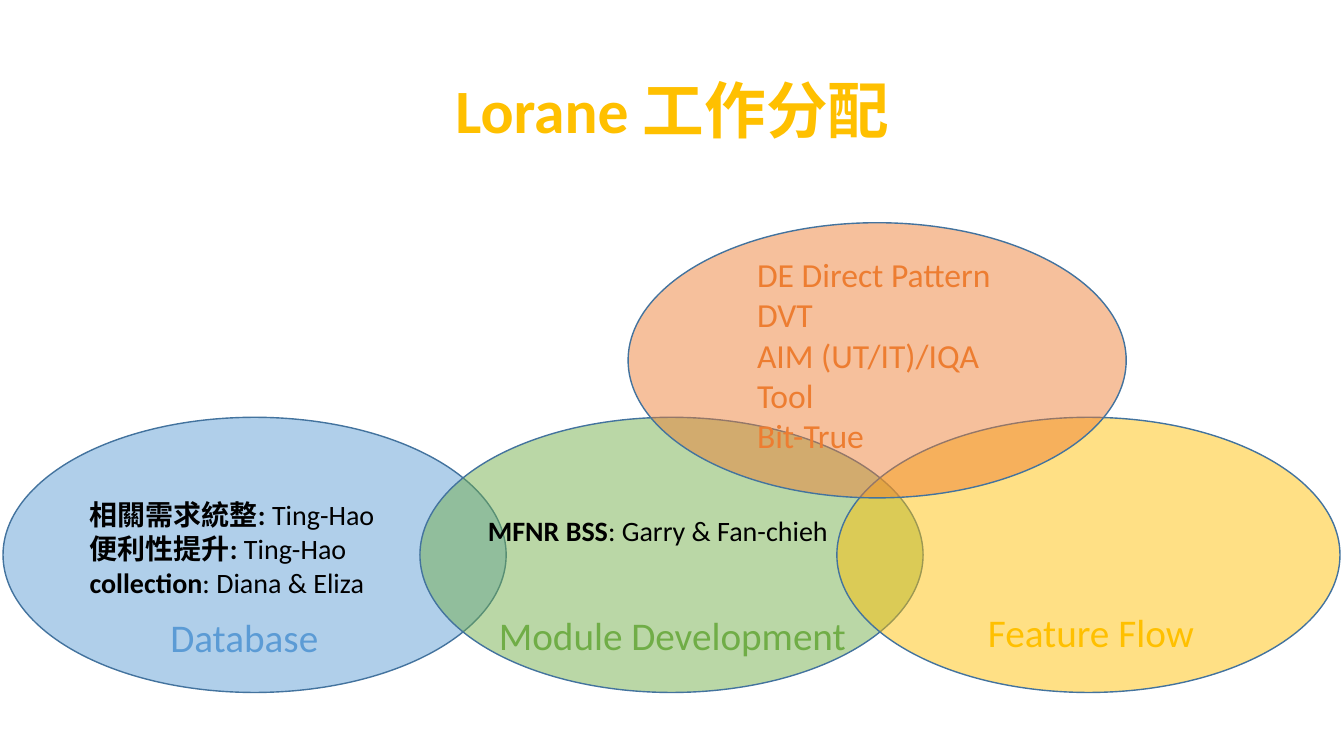
import pptx
import pptx.util
import pptx.dml.color
import pptx.enum.shapes
import pptx.enum.text
import pptx.oxml.ns
import lxml.etree

Inches = pptx.util.Inches
COLORS = {"blue": "5B9BD5", "green": "70AD47", "gold": "FFC000",
          "orange": "ED7D31", "outline": "43739E", "black": "000000"}


def rgb(name):
    return pptx.dml.color.RGBColor.from_string(COLORS[name])


def add_text(left, top, width, height, lines, size, color):
    """Each line is a list of (text, bold) pairs."""
    box = page.shapes.add_textbox(Inches(left), Inches(top), Inches(width), Inches(height))
    box.text_frame.word_wrap = True
    for index, line in enumerate(lines):
        para = box.text_frame.paragraphs[0] if index == 0 else box.text_frame.add_paragraph()
        for text, bold in line:
            span = para.add_run()
            span.text = text
            span.font.color.rgb = rgb(color)
            formats = {"name": "Calibri", "size": pptx.util.Pt(size), "bold": bold}
            for key, value in formats.items():
                setattr(span.font, key, value)
    return box


deck = pptx.Presentation()
deck.slide_width, deck.slide_height = Inches(13.33), Inches(7.5)
page = deck.slides.add_slide(deck.slide_layouts[6])

# Title
title = add_text(0.92, 0.4, 11.5, 1.45, [[("Lorane 工作分配", True)]], 44, "gold")
title.text_frame.vertical_anchor = pptx.enum.text.MSO_ANCHOR.MIDDLE
title.text_frame.paragraphs[0].alignment = pptx.enum.text.PP_ALIGN.CENTER
title.text_frame.paragraphs[0].line_spacing = 0.9

# Overlapping work areas: an even row of three, then the one above
areas = [(0.03 + 4.135 * column, 4.14, 4.99, color)
         for column, color in enumerate(["blue", "green", "gold"])]
areas.append((6.23, 2.21, 4.94, "orange"))
for left, top, width, color in areas:
    area = page.shapes.add_shape(pptx.enum.shapes.MSO_SHAPE.OVAL, Inches(left),
                                 Inches(top), Inches(width), Inches(2.73))
    area.shadow.inherit = False
    area.fill.solid()
    area.fill.fore_color.rgb = rgb(color)
    area.line.color.rgb = rgb("outline")
    area.line.width = pptx.util.Pt(1)
    tint = area.fill._xPr.find(".//" + pptx.oxml.ns.qn("a:srgbClr"))
    lxml.etree.SubElement(tint, pptx.oxml.ns.qn("a:alpha"), val="48000")

# Area names
for left, top, width, name, color in [
        (1.59, 6.04, 1.85, "Database", "blue"),
        (4.85, 6.02, 3.76, "Module Development", "green"),
        (9.7, 5.99, 2.31, "Feature Flow", "gold")]:
    add_text(left, top, width, 0.63, [[(name, False)]], 28, color)

# Verification topics
topics = ["DE Direct Pattern", "DVT", "AIM (UT/IT)/IQA", "Tool", "Bit-True"]
add_text(7.41, 2.47, 3.05, 2.12, [[(topic, False)] for topic in topics], 24, "orange")

# Tasks and owners
database_tasks = [[("相關需求統整: ", True), ("Ting-Hao", False)],
                  [("便利性提升: ", True), ("Ting-Hao", False)],
                  [("collection", True), (": Diana & Eliza", False)]]
module_tasks = [[("MFNR BSS", True), (": Garry & Fan-chieh", False)]]
add_text(0.79, 4.89, 3.8, 1.22, database_tasks, 20, "black")
add_text(4.74, 5.04, 3.97, 0.48, module_tasks, 20, "black")

deck.save("out.pptx")
